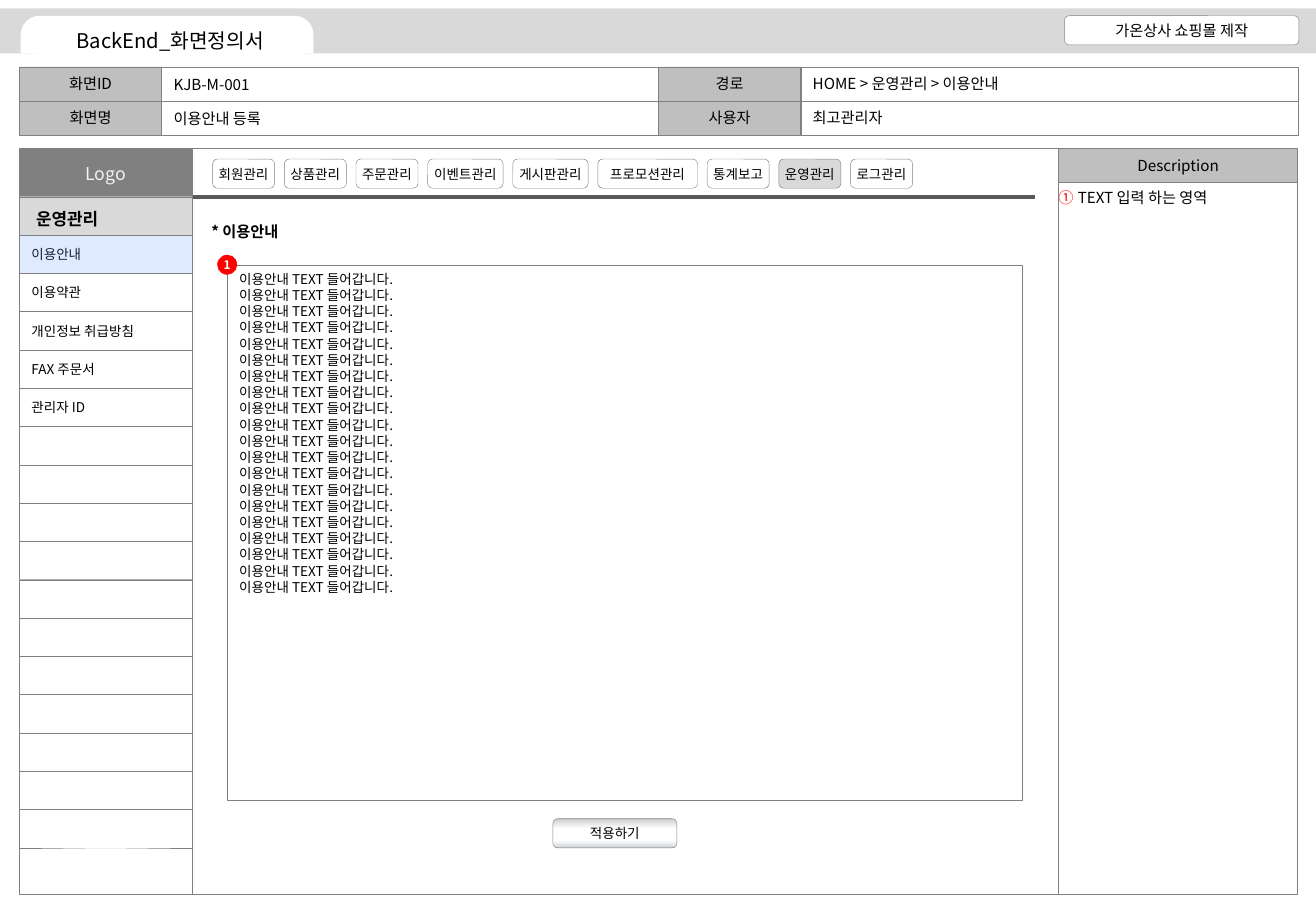
"""Build the back-end screen definition slide for the usage guide page."""
from lxml import etree
from pptx import Presentation
from pptx.dml.color import RGBColor
from pptx.enum.shapes import MSO_CONNECTOR, MSO_SHAPE
from pptx.enum.text import MSO_ANCHOR, MSO_AUTO_SIZE, PP_ALIGN
from pptx.oxml.ns import qn
from pptx.util import Inches, Pt

RECT, ROUND, TAB, OVAL = (MSO_SHAPE.RECTANGLE, MSO_SHAPE.ROUNDED_RECTANGLE,
                          MSO_SHAPE.ROUND_2_SAME_RECTANGLE, MSO_SHAPE.OVAL)
STRAIGHT = MSO_CONNECTOR.STRAIGHT
LEFT, CENTER = PP_ALIGN.LEFT, PP_ALIGN.CENTER
TOP, MIDDLE = MSO_ANCHOR.TOP, MSO_ANCHOR.MIDDLE
FIXED = MSO_AUTO_SIZE.NONE
FONT = "Noto Sans CJK KR"
BLACK, WHITE, GRAY, SILVER, PALE, RED = "000000", "FFFFFF", "808080", "BFBFBF", "D9D9D9", "FF0000"
WIDTH, HEIGHT = 10.83, 7.5
EDGE, HEAD = 0.16, 0.28
ZERO = (0, 0, 0, 0)

deck = Presentation()
deck.slide_width, deck.slide_height = Inches(WIDTH), Inches(HEIGHT)
slide = deck.slides.add_slide(deck.slide_layouts[1])
parts = slide.shapes
title, description = slide.placeholders


def paint(fill, color):
    """Fill an area, a line or a font with a hex colour, or with nothing."""
    if color is None:
        fill.background()
    else:
        fill.solid()
        fill.fore_color.rgb = RGBColor.from_string(color)


def place(part, at, text="", fill=None, edge=None, size=9, color=BLACK, bold=False,
          align=CENTER, anchor=MIDDLE, inset=(0.1, 0.05), wrap=True):
    """Position and format a shape, text box or placeholder."""
    for name, value in zip(("left", "top", "width", "height"), at):
        setattr(part, name, Inches(value))
    part.shadow.inherit = False
    paint(part.fill, fill)
    paint(part.line.fill, edge)
    if edge:
        part.line.width = Pt(0.25)
    if not text:
        return part
    frame = part.text_frame
    frame.text = text
    across, down = Inches(inset[0]), Inches(inset[1])
    frame_format = {"word_wrap": wrap, "auto_size": FIXED, "vertical_anchor": anchor,
                    "margin_left": across, "margin_right": across,
                    "margin_top": down, "margin_bottom": down}
    for name, value in frame_format.items():
        setattr(frame, name, value)
    paragraph_format = {"alignment": align, "line_spacing": Pt(size * 1.2), "space_before": Pt(0)}
    font_format = {"name": FONT, "size": Pt(size), "bold": bold}
    for paragraph in frame.paragraphs:
        for name, value in paragraph_format.items():
            setattr(paragraph, name, value)
        for run in paragraph.runs:
            for name, value in font_format.items():
                setattr(run.font, name, value)
            paint(run.font.fill, color)
            latin = run.font.element.find(qn("a:latin")) if hasattr(run.font, "element") \
                else run._r.rPr.find(qn("a:latin"))
            latin.addnext(latin.makeelement(qn("a:ea"), {"typeface": FONT}))
    return part


label_width, value_width = 1.17, 4.09
screen_facts = [
    [("화면ID", "KJB-M-001", 0.83), ("경로", "HOME > 운영관리 > 이용안내", 1.93)],
    [("화면명", "이용안내 등록", 1), ("사용자", "최고관리자", 0.86)],
]
for row, facts in enumerate(screen_facts):
    for column, (label, value, text_width) in enumerate(facts):
        x = EDGE + column * (label_width + value_width)
        y = 0.55 + row * HEAD
        value_x = x + label_width
        place(parts.add_shape(RECT, *ZERO), (x, y, label_width, HEAD), label, SILVER, GRAY)
        place(parts.add_shape(RECT, *ZERO), (value_x, y, value_width, HEAD), edge=GRAY)
        place(parts.add_textbox(*ZERO), (value_x, y + 0.02 - column * 0.01, text_width, 0.25),
              value, align=LEFT, anchor=TOP, wrap=False)

notes_x, notes_width, frame_top, frame_bottom = 8.71, 1.97, 1.22, 7.36
place(parts.add_shape(RECT, *ZERO),
      (EDGE, frame_top, notes_x - EDGE, frame_bottom - frame_top), edge=GRAY)
place(parts.add_shape(RECT, *ZERO), (notes_x, frame_top, notes_width, HEAD),
      "Description", SILVER, GRAY)
notes_top = frame_top + HEAD
place(parts.add_shape(RECT, *ZERO),
      (notes_x, notes_top, notes_width, frame_bottom - notes_top), edge=GRAY)
place(description, (notes_x, notes_top + 0.05, notes_width, 5.81), "TEXT 입력 하는 영역",
      align=LEFT, anchor=TOP, inset=(0, 0))
item = description.text_frame.paragraphs[0]._p.get_or_add_pPr()
item.set("marL", str(Inches(0.16)))
item.set("indent", str(-Inches(0.16)))
bullet_color = etree.SubElement(item, qn("a:buClr"))
etree.SubElement(bullet_color, qn("a:srgbClr"), val=RED)
etree.SubElement(item, qn("a:buAutoNum"), type="circleNumDbPlain")

place(parts.add_shape(RECT, *ZERO), (0, 0.07, WIDTH, 0.37), fill=PALE)
title_tab = place(parts.add_shape(TAB, *ZERO), (0.17, 0.13, 2.41, 0.31), fill=WHITE)
title_tab.adjustments[0] = 0.5
place(parts.add_shape(ROUND, *ZERO), (8.76, 0.13, 1.93, 0.24), "가온상사 쇼핑몰 제작", WHITE, GRAY)
place(title, (0.3, 0.21, 2.2, 0.24), "BackEnd_화면정의서", WHITE, size=12)
title.element.getparent().append(title.element)

menu_width, menu_top, menu_rows = 1.42, 1.62, 17
menu_row = (6.98 - menu_top) / menu_rows
place(parts.add_shape(RECT, *ZERO),
      (EDGE, menu_top, menu_width, frame_bottom - menu_top), fill=WHITE, edge=GRAY)
place(parts.add_shape(RECT, *ZERO), (EDGE, 1.23, menu_width, 0.39), "Logo", GRAY, GRAY,
      size=10.5, color="F2F2F2")
divider = parts.add_connector(STRAIGHT, Inches(1.59), Inches(menu_top),
                              Inches(8.52), Inches(menu_top))
paint(divider.line.fill, "595959")
divider.line.width = Pt(2.25)
etree.SubElement(divider.element.spPr, qn("a:effectLst"))

section_x, section_gap = 1.75, 0.08
section_widths = {4: 0.51, 5: 0.62, 6: 0.82}
for section in ("회원관리", "상품관리", "주문관리", "이벤트관리", "게시판관리",
                "프로모션관리", "통계보고", "운영관리", "로그관리"):
    section_width = section_widths[len(section)]
    place(parts.add_shape(ROUND, *ZERO), (section_x, 1.31, section_width, 0.24), section,
          PALE if section == "운영관리" else WHITE, GRAY, size=8, inset=(0, 0))
    section_x += section_width + section_gap

menu = ["", "이용안내", "이용약관", "개인정보 취급방침", "FAX 주문서", "관리자 ID"]
menu += [""] * (menu_rows - len(menu))
for row, entry in enumerate(menu):
    place(parts.add_shape(RECT, *ZERO), (EDGE, menu_top + row * menu_row, menu_width, menu_row),
          entry, WHITE if row else PALE, GRAY, size=8, align=LEFT)
place(parts.add_textbox(*ZERO), (0.2, 1.67, 1.2, 0.27), "운영관리", size=10, bold=True,
      align=LEFT, anchor=TOP)
selection = place(parts.add_shape(RECT, *ZERO),
                  (EDGE, menu_top + menu_row, menu_width, menu_row), fill="6699FF", edge=GRAY)
tint = selection.element.spPr.find(qn("a:solidFill")).find(qn("a:srgbClr"))
etree.SubElement(tint, qn("a:alpha"), val="20000")

place(parts.add_textbox(*ZERO), (1.64, 1.78, 0.81, 0.25), "* 이용안내", bold=True,
      align=LEFT, anchor=TOP, wrap=False)
place(parts.add_shape(RECT, *ZERO), (1.87, 2.18, 6.54, 4.41),
      "\n".join(["이용안내 TEXT 들어갑니다."] * 20), edge=GRAY, size=8, align=LEFT, anchor=TOP)
apply_button = place(parts.add_shape(ROUND, *ZERO), (4.55, 6.74, 1.02, 0.24), "적용하기",
                     edge=GRAY, size=8, inset=(0, 0))
apply_button.fill.gradient()
apply_button.fill.gradient_angle = 270
sheen = apply_button.element.spPr.find(qn("a:gradFill")).find(qn("a:gsLst"))
for stop in list(sheen):
    sheen.remove(stop)
for share, shade in ((0, SILVER), (8, PALE), (34, WHITE), (74, WHITE), (93, "DDE1E7"), (100, "CCCCCC")):
    stop = etree.SubElement(sheen, qn("a:gs"), pos=str(share * 1000))
    etree.SubElement(stop, qn("a:srgbClr"), val=shade)
place(parts.add_shape(OVAL, *ZERO), (1.79, 2.1, 0.16, 0.16), "1", RED, RED, size=7,
      color=WHITE, bold=True, inset=(0, 0))

deck.save("out.pptx")
